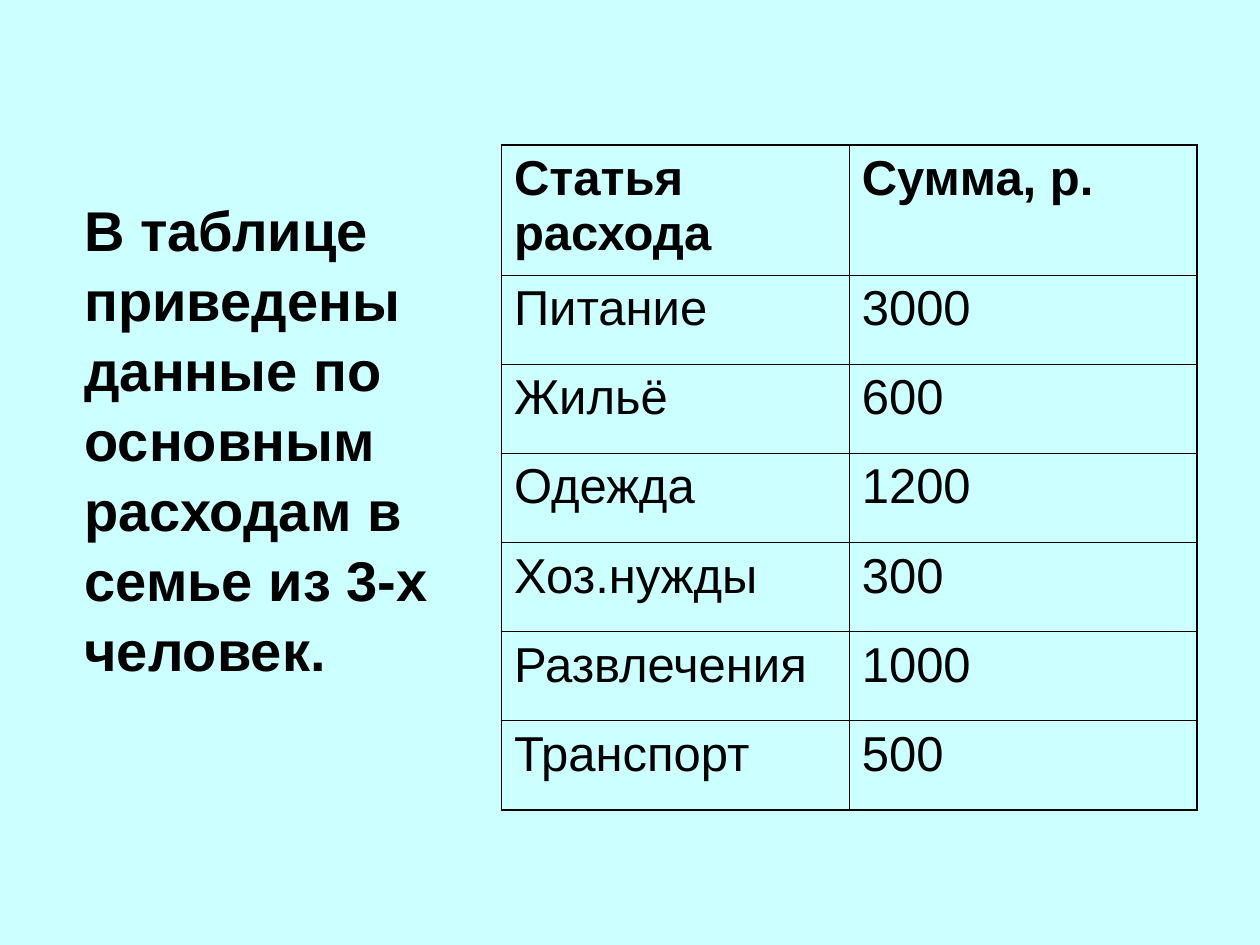
from lxml import etree
from pptx import Presentation
from pptx.dml.color import RGBColor
from pptx.enum.text import MSO_ANCHOR
from pptx.oxml.ns import qn
from pptx.util import Inches, Pt

TOP = MSO_ANCHOR.TOP
COLORS = {"back": "CCFFFF", "ink": "000000"}
FONT = "Arial"
THIN, THICK = 0.45, 1.08

NOTE = "В таблице приведены данные по основным расходам в семье из 3-х человек."
COSTS = [
    ("Статья расхода", "Сумма, р."),
    ("Питание", "3000"),
    ("Жильё", "600"),
    ("Одежда", "1200"),
    ("Хоз.нужды", "300"),
    ("Развлечения", "1000"),
    ("Транспорт", "500"),
]


class Deck:
    """Holds the style and the current slide; lengths are percent of its size."""

    def __init__(self, wide, high):
        self.prs = Presentation()
        self.prs.slide_width, self.prs.slide_height = Inches(wide), Inches(high)
        self.slide = self.prs.slides.add_slide(self.prs.slide_layouts[6])
        fill = self.slide.background.fill
        fill.solid()
        fill.fore_color.rgb = self.color("back")

    def color(self, name):
        return RGBColor.from_string(COLORS[name])

    def across(self, share):
        return round(self.prs.slide_width * share / 100)

    def down(self, share):
        return round(self.prs.slide_height * share / 100)

    def style(self, frame, size, bold):
        font = frame.paragraphs[0].runs[0].font
        font.name, font.size, font.bold = FONT, Pt(size), bold
        font.color.rgb = self.color("ink")

    def text(self, words, x, y, w, h, size, inset, spacing):
        box = self.slide.shapes.add_textbox(
            self.across(x), self.down(y), self.across(w), self.down(h))
        frame = box.text_frame
        frame.word_wrap = True
        frame.margin_left, frame.margin_top = self.across(inset[0]), self.down(inset[1])
        frame.text = words
        frame.paragraphs[0].line_spacing = spacing
        self.style(frame, size, True)

    def border(self, cell, widths):
        props = cell._tc.get_or_add_tcPr()
        for spot, (side, width) in enumerate(widths.items()):
            line = etree.Element(qn("a:" + side), w=str(Pt(width)))
            fill = etree.SubElement(line, qn("a:solidFill"))
            etree.SubElement(fill, qn("a:srgbClr"), val=COLORS["ink"])
            props.insert(spot, line)

    def table(self, rows, x, y, col, head, row, size):
        tall, broad = len(rows), len(rows[0])
        table = self.slide.shapes.add_table(
            tall, broad, self.across(x), self.down(y),
            self.across(col * broad), self.down(head + row * (tall - 1))).table
        table.horz_banding = False
        for column in table.columns:
            column.width = self.across(col)
        for r, values in enumerate(rows):
            table.rows[r].height = self.down(row if r else head)
            for c, value in enumerate(values):
                cell = table.cell(r, c)
                cell.text = value
                cell.vertical_anchor = TOP
                cell.fill.background()
                self.style(cell.text_frame, size, r == 0)
                # Thick lines on the outer frame, thin ones inside
                outer = {"lnL": c == 0, "lnR": c == broad - 1,
                         "lnT": r == 0, "lnB": r == tall - 1}
                self.border(cell, {side: THICK if edge else THIN
                                   for side, edge in outer.items()})


def main():
    deck = Deck(10, 7.5)
    # Explanation on the left
    deck.text(NOTE, 2, 19.33, 44.2, 66, size=32, inset=(4.7, 1.1), spacing=1.04)
    # Family costs on the right
    deck.table(COSTS, 39.8, 15.33, col=27.6, head=13.73, row=9.43, size=28)
    deck.prs.save("out.pptx")


if __name__ == "__main__":
    main()
